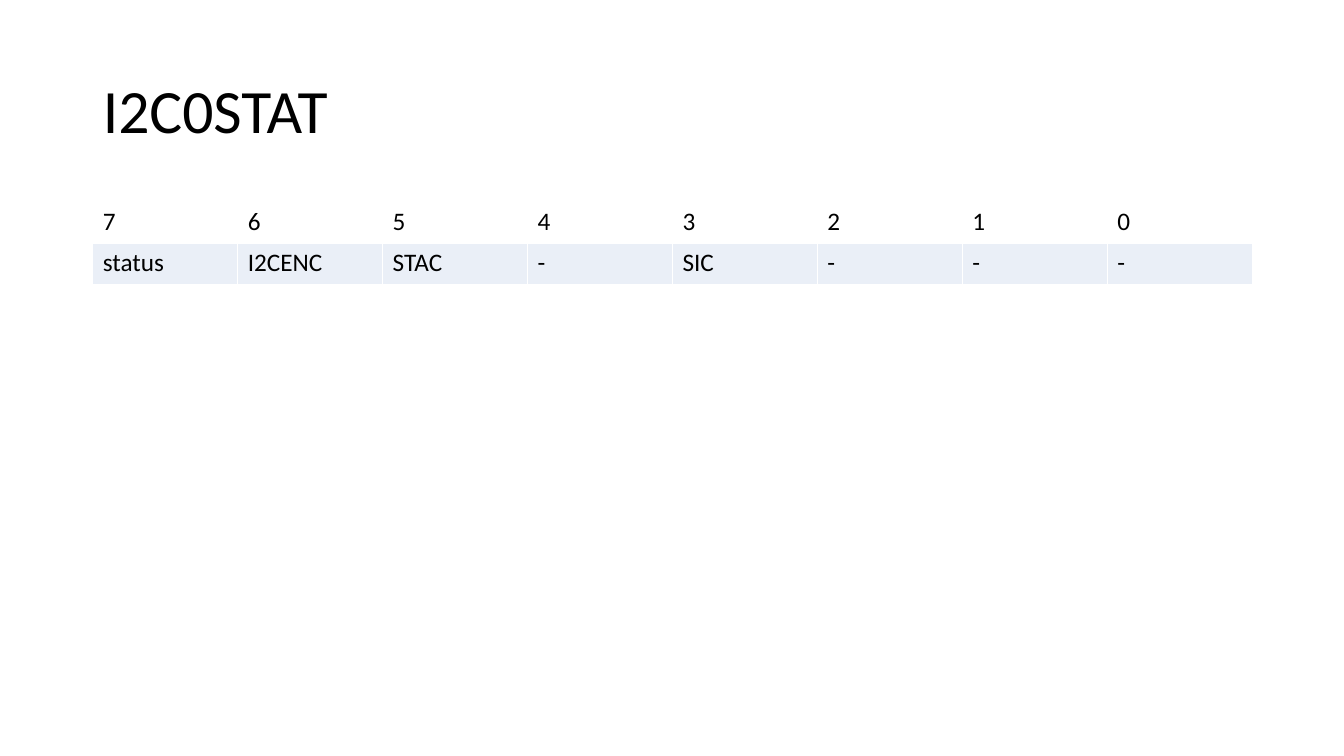
from lxml.etree import SubElement
from pptx import Presentation
from pptx.dml.color import RGBColor
from pptx.enum.text import MSO_ANCHOR, MSO_AUTO_SIZE, PP_ALIGN
from pptx.oxml.ns import qn
from pptx.util import Inches, Pt

BLACK = RGBColor(0x00, 0x00, 0x00)
WHITE = RGBColor(0xFF, 0xFF, 0xFF)
PALE_BLUE = RGBColor(0xEA, 0xEF, 0xF7)

REGISTER = "I2C0STAT"
BITS = [str(bit) for bit in range(7, -1, -1)]
FIELDS = ["status", "I2CENC", "STAC", "-", "SIC", "-", "-", "-"]


def set_attrs(obj, formats):
    for name, value in formats.items():
        setattr(obj, name, value)


class RegisterSlide:
    font = "Calibri"
    left, width = Inches(0.92), Inches(11.5)
    row_height = Inches(0.41)

    def __init__(self, prs):
        self.s = prs.slides.add_slide(prs.slide_layouts[5])

    def text(self, tf, content, size):
        p = tf.paragraphs[0]
        p.alignment = PP_ALIGN.LEFT
        r = p.add_run()
        r.text = content
        set_attrs(r.font, {"name": self.font, "size": Pt(size), "bold": False})
        r.font.color.rgb = BLACK
        return p

    def title(self, content, top, height):
        sp = self.s.shapes.title
        set_attrs(sp, {"left": self.left, "top": top,
                       "width": self.width, "height": height})
        tf = sp.text_frame
        set_attrs(tf, {"word_wrap": True, "auto_size": MSO_AUTO_SIZE.NONE,
                       "vertical_anchor": MSO_ANCHOR.MIDDLE})
        self.text(tf, content, 44).line_spacing = 0.9

    def borders(self, cell):
        tc_pr = cell._tc.get_or_add_tcPr()
        for side in ("lnL", "lnR", "lnT", "lnB"):
            ln = SubElement(tc_pr, qn(f"a:{side}"), w=str(Pt(1)))
            fill = SubElement(ln, qn("a:solidFill"))
            SubElement(fill, qn("a:srgbClr"), val=str(WHITE))

    def table(self, rows, fills, top):
        columns = len(rows[0])
        table = self.s.shapes.add_table(
            len(rows), columns, self.left, top,
            self.width, self.row_height * len(rows)).table
        set_attrs(table, {"first_row": False, "horz_banding": False})
        for column in table.columns:
            column.width = self.width // columns
        for row, texts, color in zip(table.rows, rows, fills):
            row.height = self.row_height
            for cell, content in zip(row.cells, texts):
                self.borders(cell)
                cell.fill.solid()
                cell.fill.fore_color.rgb = color
                self.text(cell.text_frame, content, 18)


def main():
    prs = Presentation()
    set_attrs(prs, {"slide_width": Inches(13.33), "slide_height": Inches(7.5)})
    slide = RegisterSlide(prs)
    slide.title(REGISTER, Inches(0.4), Inches(1.45))
    slide.table([BITS, FIELDS], [WHITE, PALE_BLUE], Inches(2))
    prs.save("out.pptx")


if __name__ == "__main__":
    main()
